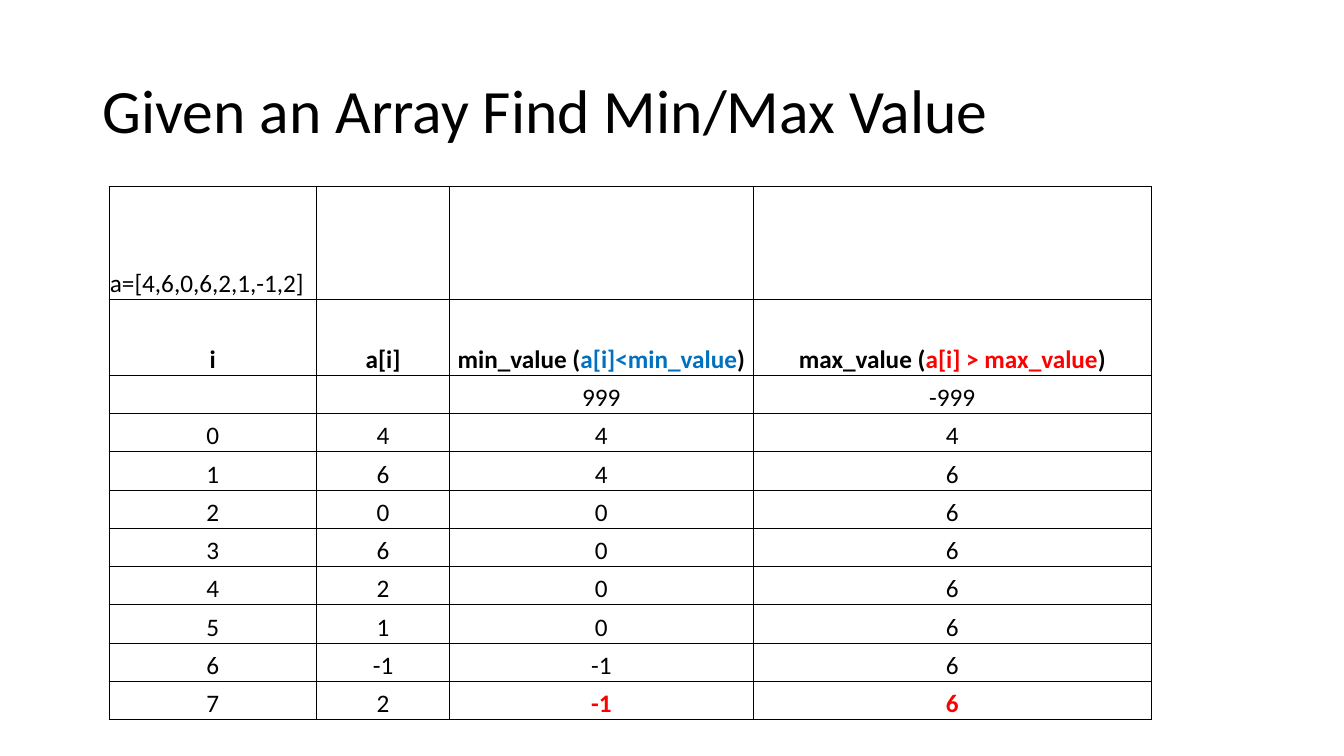
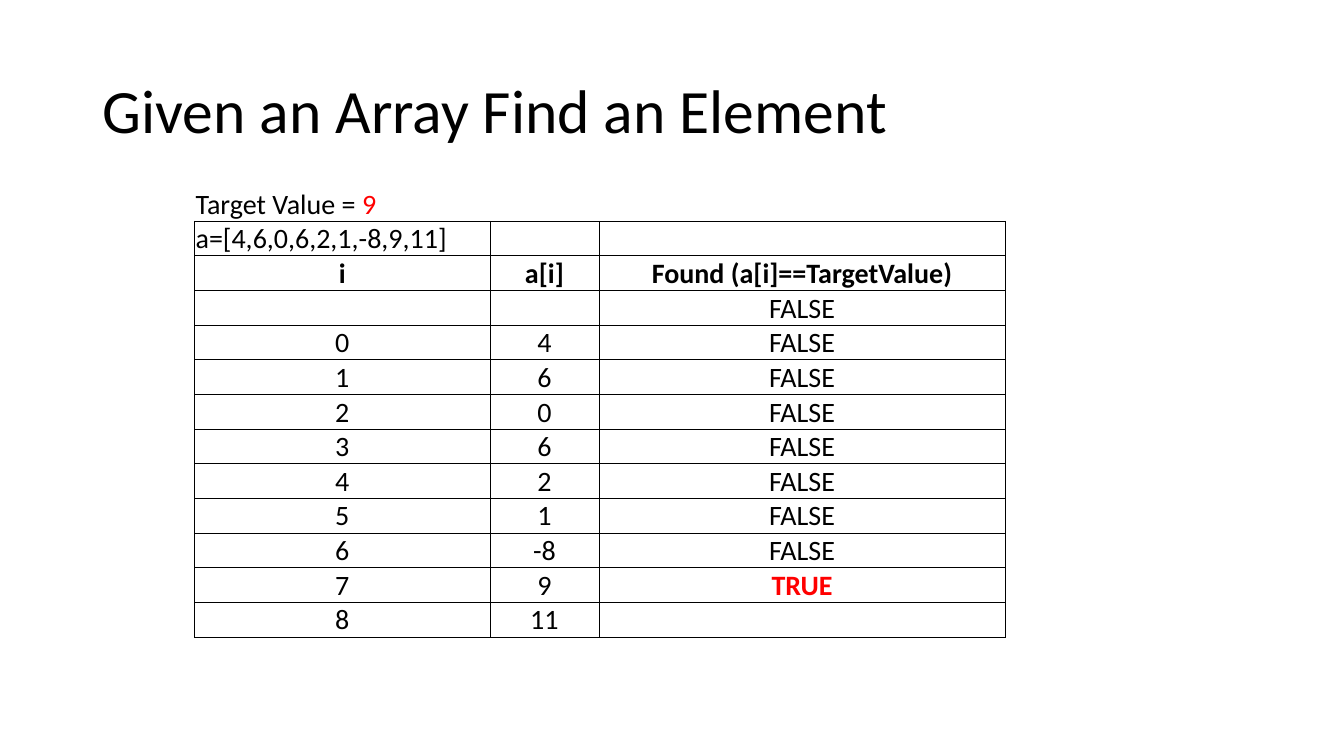
from itertools import accumulate

from lxml import etree
from pptx import Presentation
from pptx.dml.color import RGBColor
from pptx.enum.text import MSO_ANCHOR, PP_ALIGN
from pptx.oxml.ns import qn
from pptx.util import Pt

PX = 9144  # 100 px to the inch
BLANK = 6
FONT = "Calibri"
BLACK = RGBColor(0x00, 0x00, 0x00)
BLUE = RGBColor(0x00, 0x70, 0xC0)
RED = RGBColor(0xFF, 0x00, 0x00)
LEFT, CENTER = PP_ALIGN.LEFT, PP_ALIGN.CENTER
MIDDLE, BOTTOM = MSO_ANCHOR.MIDDLE, MSO_ANCHOR.BOTTOM
TITLE_BOX = (92, 40, 1150, 145)
ALL_SIDES = "LRTB"


def px(*lengths):
    return [n * PX for n in lengths]


def add_runs(p, runs, size, bold=False):
    """Write text, or (text, format) pairs, into a paragraph."""
    if isinstance(runs, str):
        runs = [(runs, {})] if runs else []
    for text, fmt in runs:
        r = p.add_run()
        r.text = text
        values = {"name": FONT, "size": Pt(size), "bold": bold, "color": BLACK, **fmt}
        r.font.color.rgb = values.pop("color")
        for name, value in values.items():
            setattr(r.font, name, value)


def add_titled_slide(prs, title):
    s = prs.slides.add_slide(prs.slide_layouts[BLANK])
    tf = s.shapes.add_textbox(*px(*TITLE_BOX)).text_frame
    tf.word_wrap = True
    tf.vertical_anchor = MIDDLE
    tf.paragraphs[0].line_spacing = 0.9
    add_runs(tf.paragraphs[0], title, 44)
    return s


def set_borders(cell, sides):
    """Draw the named sides and clear the others."""
    tc_pr = cell._tc.get_or_add_tcPr()
    for i, side in enumerate(ALL_SIDES):
        ln = etree.Element(qn(f"a:ln{side}"), w=str(Pt(0.5)))
        if side in sides:
            fill = etree.SubElement(ln, qn("a:solidFill"))
            etree.SubElement(fill, qn("a:srgbClr"), val=str(BLACK))
        else:
            etree.SubElement(ln, qn("a:noFill"))
        tc_pr.insert(i, ln)


def fill_cell(cell, content, size, align, bold, sides):
    cell.fill.background()
    set_borders(cell, sides)
    cell.margin_left = cell.margin_top = cell.margin_right = PX
    cell.margin_bottom = 0
    cell.vertical_anchor = BOTTOM
    p = cell.text_frame.paragraphs[0]
    p.alignment = align
    add_runs(p, content, size, bold)


def add_trace_table(s, left, widths, heights, rows, size, header, caption=False):
    """Add a table; rows above the header are left-aligned notes."""
    frame = s.shapes.add_table(
        len(rows), len(widths), *px(left, 185, sum(widths), sum(heights)))
    table = frame.table
    table.first_row = table.horz_banding = False
    for col, width in zip(table.columns, widths):
        col.width = width * PX
    for row, height in zip(table.rows, heights):
        row.height = height * PX
    for i, row in enumerate(rows):
        align = LEFT if i < header else CENTER
        sides = "B" if caption and i == 0 else ALL_SIDES
        for j, content in enumerate(row):
            fill_cell(table.cell(i, j), content, size, align, i == header, sides)
    if caption:
        table.cell(0, 0).merge(table.cell(0, 1))


def result(value):
    return [(str(value), {"color": RED, "bold": True})]


def build_min_max(prs):
    s = add_titled_slide(prs, "Given an Array Find Min/Max Value")
    a = [4, 6, 0, 6, 2, 1, -1, 2]
    steps = zip(range(len(a)), a, accumulate(a, min), accumulate(a, max))
    rows = [
        ["a=[4,6,0,6,2,1,-1,2]", "", "", ""],
        ["i", "a[i]",
         [("min_value (", {}), ("a[i]<min_value", {"color": BLUE}), (")", {})],
         [("max_value (", {}), ("a[i] > max_value", {"color": RED}), (")", {})]],
        ["", "", "999", "-999"],
        *([str(n) for n in step] for step in steps),
    ]
    rows[-1][2:] = [result(min(a)), result(max(a))]
    heights = [112, 75] + [38] * (len(rows) - 2)
    add_trace_table(s, 108, [206, 132, 301, 395], heights, rows, 18, header=1)


def build_find_element(prs):
    s = add_titled_slide(prs, "Given an Array Find an Element")
    a = [4, 6, 0, 6, 2, 1, -8, 9, 11]
    hit = a.index(9)
    found = ["FALSE"] * hit + [result("TRUE")] + [""] * (len(a) - hit - 1)
    rows = [
        [[("Target Value =", {}), (" 9", {"color": RED})], "", ""],
        ["a=[4,6,0,6,2,1,-8,9,11]", "", ""],
        ["i", "a[i]", "Found (a[i]==TargetValue)"],
        ["", "", "FALSE"],
        *([str(i), str(n), f] for i, (n, f) in enumerate(zip(a, found))),
    ]
    add_trace_table(s, 193, [293, 108, 403], [34] * len(rows), rows, 20,
                    header=2, caption=True)


def main():
    prs = Presentation()
    prs.slide_width, prs.slide_height = px(1333, 750)
    build_min_max(prs)
    build_find_element(prs)
    prs.save("out.pptx")


if __name__ == "__main__":
    main()
